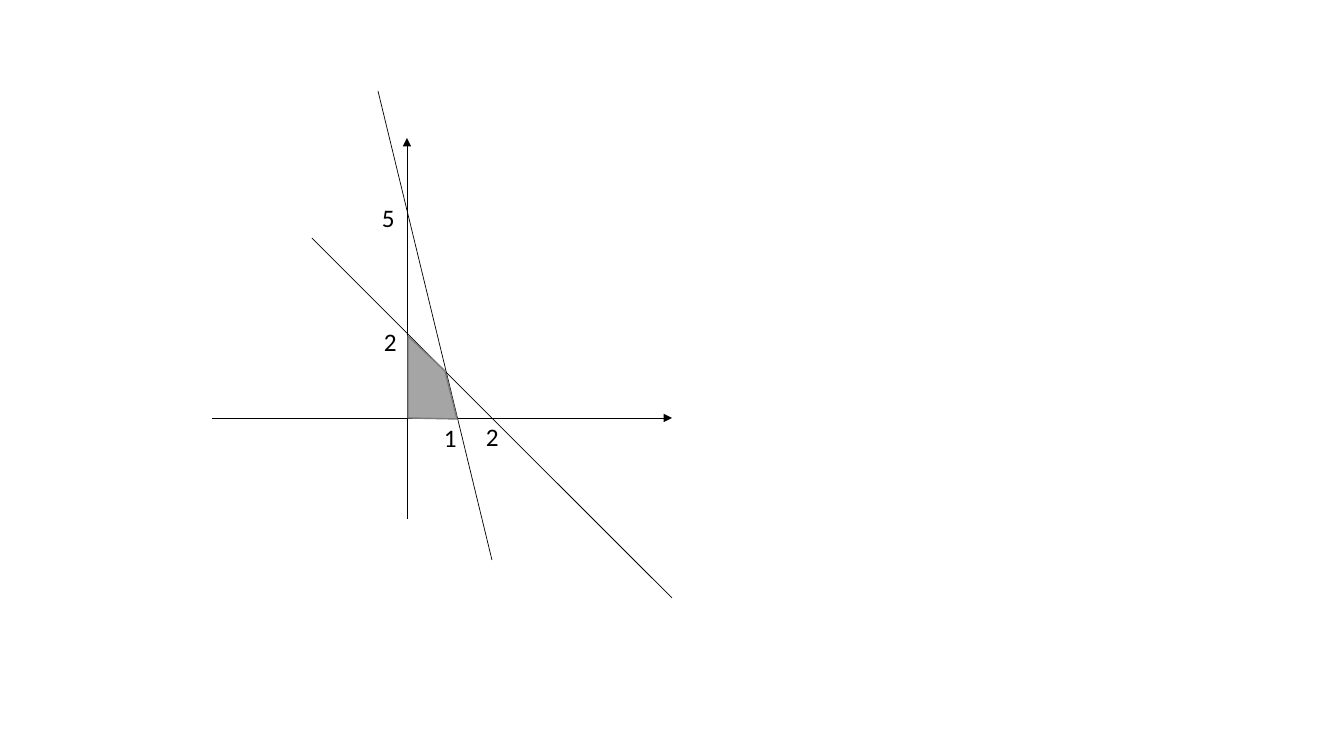
from lxml.etree import SubElement
from pptx import Presentation
from pptx.dml.color import RGBColor
from pptx.enum.shapes import MSO_CONNECTOR
from pptx.enum.text import MSO_AUTO_SIZE
from pptx.oxml.ns import qn
from pptx.util import Emu, Pt

SCALE = 914400 / 100.8
SLIDE_SIZE = (1344, 756)
LABEL_SIZE = (33, 40)

AXES = [((407, 519), (407, 138)), ((212, 418), (672, 418))]
CONSTRAINTS = [((312, 238), (672, 598)), ((378, 91), (492, 560))]
LABELS = [("2", 374, 321), ("2", 476, 416), ("5", 372, 197), ("1", 434, 417)]
FEASIBLE_REGION = [(408, 336), (408, 418), (457, 419), (445, 371)]

BLACK, REGION_FILL, REGION_EDGE = "000000", "A5A5A5", "7A7A7A"
LABEL_FONT = {"name": "Calibri", "size": Pt(18)}
LABEL_FRAME = {"word_wrap": False, "auto_size": MSO_AUTO_SIZE.SHAPE_TO_FIT_TEXT}


def px(*lengths):
    return [Emu(round(length * SCALE)) for length in lengths]


def paint(color_format, color):
    color_format.rgb = RGBColor.from_string(color)


def apply(target, values):
    for key, value in values.items():
        setattr(target, key, value)


def add_line(slide, start, end, arrow=False):
    line = slide.shapes.add_connector(MSO_CONNECTOR.STRAIGHT, *px(*start, *end))
    line.line.width = Pt(0.5)
    paint(line.line.color, BLACK)
    properties = line._element.spPr
    if arrow:
        SubElement(properties.find(qn("a:ln")), qn("a:tailEnd"), type="triangle")
    SubElement(properties, qn("a:effectLst"))


def add_label(slide, text, left, top):
    label = slide.shapes.add_textbox(*px(left, top, *LABEL_SIZE))
    apply(label.text_frame, LABEL_FRAME)
    run = label.text_frame.paragraphs[0].add_run()
    run.text = text
    apply(run.font, LABEL_FONT)
    paint(run.font.color, BLACK)


def add_region(slide, corners):
    outline = slide.shapes.build_freeform(*corners[0], scale=SCALE)
    outline.add_line_segments(corners[1:], close=True)
    region = outline.convert_to_shape()
    region.shadow.inherit = False
    region.fill.solid()
    paint(region.fill.fore_color, REGION_FILL)
    region.line.width = Pt(1)
    paint(region.line.color, REGION_EDGE)


def main():
    deck = Presentation()
    deck.slide_width, deck.slide_height = px(*SLIDE_SIZE)
    slide = deck.slides.add_slide(deck.slide_layouts[6])
    for start, end in AXES:
        add_line(slide, start, end, arrow=True)
    for start, end in CONSTRAINTS:
        add_line(slide, start, end)
    for text, left, top in LABELS:
        add_label(slide, text, left, top)
    add_region(slide, FEASIBLE_REGION)
    deck.save("out.pptx")


if __name__ == "__main__":
    main()
